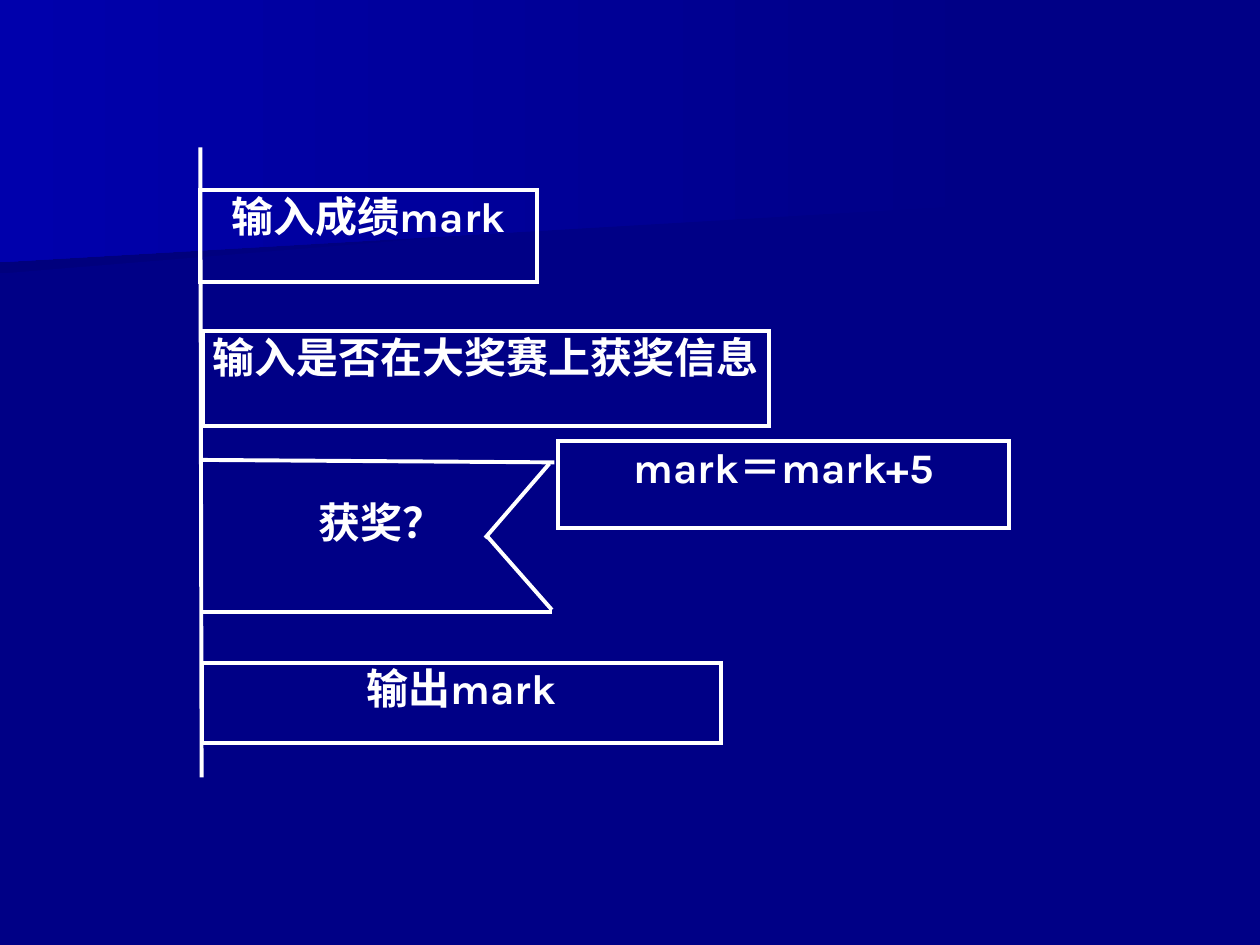
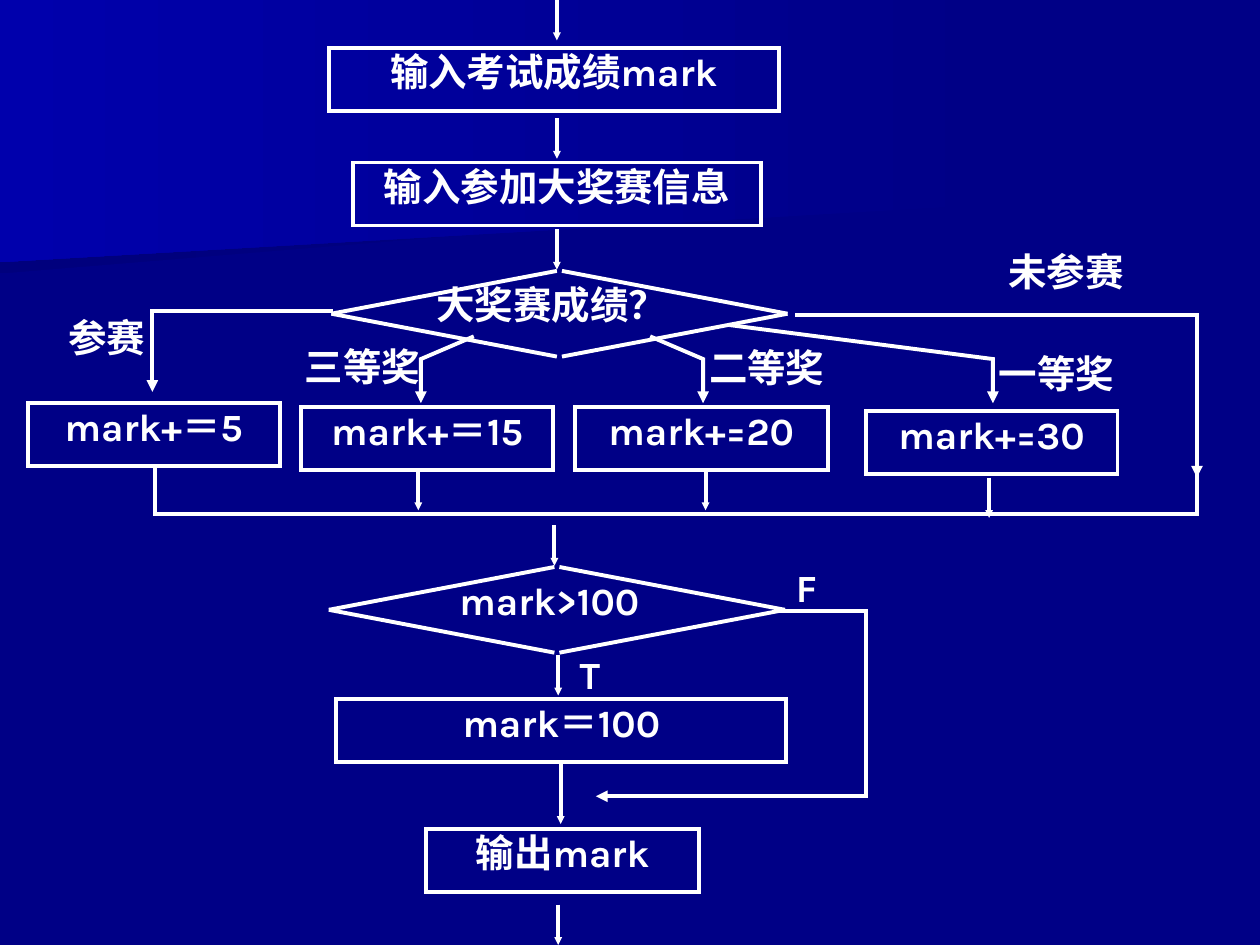
from dataclasses import dataclass

from lxml import etree
from pptx import Presentation
from pptx import util as u
from pptx.dml.color import RGBColor
from pptx.enum import shapes, text
from pptx.oxml.ns import qn

PX = 9144
FONT = "Karla"
COLORS = {"ground": "000086", "shade": "00007D", "glow": "0000AC", "ink": "FFFFFF"}
Point = tuple[int, int]


@dataclass(frozen=True)
class Box:
    x: int
    y: int
    w: int
    h: int
    label: str
    framed: bool = True
    padded: bool = False
    align: text.PP_ALIGN = text.PP_ALIGN.CENTER


@dataclass(frozen=True)
class Line:
    points: tuple[Point, ...]
    arrow: str = ""


@dataclass(frozen=True)
class Band:
    points: tuple[Point, ...]
    right: str
    left: str


def rgb(name: str) -> RGBColor:
    return RGBColor.from_string(COLORS[name])


def style_line(sp, arrow: str = "") -> None:
    sp.line.color.rgb = rgb("ink")
    sp.line.width = u.Pt(2.25)
    ln = sp.element.find(".//" + qn("a:ln"))
    etree.SubElement(ln, qn("a:miter"), lim="800000")
    if arrow:
        etree.SubElement(ln, qn("a:tailEnd"), type="triangle", w=arrow, len=arrow)


def outline(s, points: tuple[Point, ...], close: bool):
    builder = s.shapes.build_freeform(*points[0], scale=float(PX))
    builder.add_line_segments(points[1:], close=close)
    sp = builder.convert_to_shape()
    sp.shadow.inherit = False
    return sp


def draw_line(s, line: Line) -> None:
    if len(line.points) > 2:
        sp = outline(s, line.points, close=False)
        sp.fill.background()
    else:
        ends = [v * PX for point in line.points for v in point]
        sp = s.shapes.add_connector(shapes.MSO_CONNECTOR.STRAIGHT, *ends)
    style_line(sp, line.arrow)
    if len(line.points) == 2:
        etree.SubElement(sp.element.spPr, qn("a:effectLst"))


def draw_box(s, box: Box, size: int) -> None:
    area = [v * PX for v in (box.x, box.y, box.w, box.h)]
    if box.framed:
        sp = s.shapes.add_shape(shapes.MSO_SHAPE.RECTANGLE, *area)
        sp.shadow.inherit = False
        sp.fill.background()
        style_line(sp)
    else:
        sp = s.shapes.add_textbox(*area)
    tf = sp.text_frame
    tf.word_wrap = True
    tf.vertical_anchor = text.MSO_ANCHOR.TOP
    tf.margin_left = tf.margin_right = 10 * PX if box.padded else 0
    tf.margin_top = tf.margin_bottom = 5 * PX if box.padded else 0
    if box.padded:
        tf.auto_size = text.MSO_AUTO_SIZE.SHAPE_TO_FIT_TEXT
    p = tf.paragraphs[0]
    p.alignment = box.align
    r = p.add_run()
    r.text = box.label
    r.font.name = FONT
    r.font.size = u.Pt(size)
    r.font.bold = True
    r.font.color.rgb = rgb("ink")


def draw_chart(s, boxes: list[Box], lines: list[Line], size: int) -> None:
    for line in lines:
        draw_line(s, line)
    for box in boxes:
        draw_box(s, box, size)


def diamond(cx: int, cy: int) -> list[Line]:
    return [Line(((cx + side * 2, cy + rise), (cx + side * 181, cy)))
            for rise in (-34, 34) for side in (-1, 1)]


def down(x: int, y: int, length: int = 32) -> Line:
    return Line(((x, y), (x, y + length)), "sm")


def tag(x: int, y: int, label: str, w: int = 135) -> Box:
    return Box(x, y, w, 47, label, framed=False, padded=True)


BANDS = [
    Band(((778, 153), (0, 217), (0, 101), (779, 101), (778, 128)), "ground", "shade"),
    Band(((792, 162), (0, 208), (0, 0), (792, 0)), "ground", "glow"),
]

PAD_BOXES = [
    Box(159, 151, 267, 73, "输入成绩mark"),
    Box(161, 263, 449, 75, "输入是否在大奖赛上获奖信息"),
    Box(180, 394, 246, 68, "获奖？", framed=False),
    Box(443, 350, 358, 69, "mark＝mark+5"),
    Box(160, 526, 412, 64, "输出mark"),
]
PAD_LINES = [
    Line(((159, 117), (160, 617))),
    Line(((158, 365), (440, 367))),
    Line(((436, 368), (385, 427))),
    Line(((161, 486), (438, 486))),
    Line(((438, 484), (387, 426))),
]

FLOW_BOXES = [
    Box(261, 38, 357, 50, "输入考试成绩mark"),
    Box(280, 129, 324, 50, "输入参加大奖赛信息"),
    Box(280, 223, 316, 41, "大奖赛成绩？", framed=False),
    Box(22, 320, 200, 50, "mark+＝5"),
    Box(239, 323, 200, 50, "mark+＝15"),
    Box(456, 323, 201, 50, "mark+=20"),
    Box(687, 326, 200, 50, "mark+=30"),
    Box(278, 458, 316, 41, "mark>100", framed=False),
    Box(267, 555, 357, 50, "mark＝100"),
    Box(338, 658, 217, 50, "输出mark"),
    Box(594, 448, 92, 37, "F", framed=False),
    Box(460, 517, 60, 28, "T", framed=False, align=text.PP_ALIGN.JUSTIFY),
    tag(17, 244, "参赛"),
    tag(220, 267, "三等奖"),
    tag(541, 268, "二等奖"),
    tag(771, 273, "一等奖"),
    tag(783, 192, "未参赛", 126),
]
FLOW_LINES = [
    *diamond(444, 249),
    *diamond(442, 484),
    *(down(x, y) for x, y in ((442, 0), (442, 94), (442, 182), (332, 373), (560, 373),
                              (785, 379), (440, 417), (443, 520), (443, 718))),
    down(445, 605, 49),
    Line(((264, 247), (121, 247), (121, 311)), "med"),
    Line(((376, 267), (334, 285), (334, 320)), "med"),
    Line(((516, 267), (558, 285), (558, 320)), "med"),
    Line(((579, 258), (788, 285), (788, 320)), "med"),
    Line(((631, 250), (950, 250), (950, 379)), "med"),
    Line(((123, 370), (123, 408), (950, 408), (950, 373))),
    Line(((614, 485), (687, 485), (687, 632), (473, 632)), "med"),
]


def set_backdrop(prs, s) -> None:
    master = prs.slide_master
    master.background.fill.solid()
    master.background.fill.fore_color.rgb = rgb("ground")
    for place, band in enumerate(BANDS, start=2):
        sp = outline(s, band.points, close=True)
        sp.line.fill.background()
        sp.fill.gradient()
        sp.fill.gradient_angle = 180
        for stop, name in zip(sp.fill.gradient_stops, (band.right, band.left)):
            stop.color.rgb = rgb(name)
        master.shapes.element.insert(place, sp.element)


def main() -> None:
    prs = Presentation()
    prs.slide_width, prs.slide_height = 1000 * PX, 750 * PX
    pad, flow = [prs.slides.add_slide(prs.slide_layouts[6]) for _ in range(2)]
    set_backdrop(prs, pad)
    draw_chart(pad, PAD_BOXES, PAD_LINES, 24)
    draw_chart(flow, FLOW_BOXES, FLOW_LINES, 22)
    prs.save("out.pptx")


if __name__ == "__main__":
    main()
